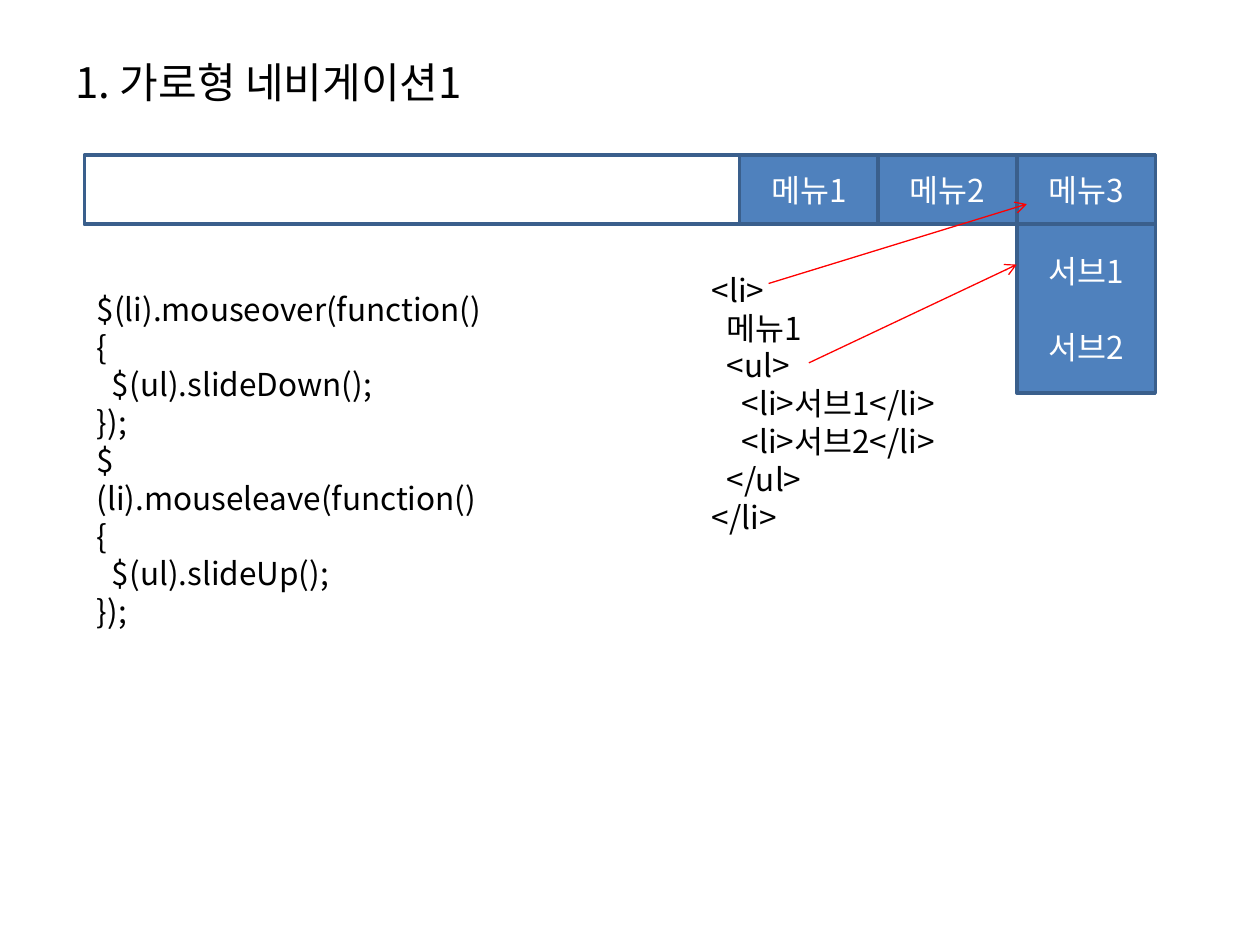
from pptx import Presentation
from pptx.dml.color import RGBColor
from pptx.enum import shapes, text
from pptx.oxml import ns
from pptx.util import Inches, Pt
from lxml import etree

FONT = "Noto Sans CJK KR"
BLACK = RGBColor(0, 0, 0)
WHITE = RGBColor(255, 255, 255)
BLUE = RGBColor(0x4F, 0x81, 0xBD)
EDGE = RGBColor(0x3A, 0x5F, 0x8C)
RED = RGBColor(255, 0, 0)

LEFT, TOP, WIDTH, HIGH = 0.67, 1.23, 8.5, 0.55
CELL = 1.1
STEP = 0.12  # one code indent

SCRIPT = [(0, "$(li).mouseover(function(){"), (1, "$(ul).slideDown();"), (0, "});"),
          (0, "$(li).mouseleave(function(){"), (1, "$(ul).slideUp();"), (0, "});")]
MARKUP = [(0, "<li>"), (1, "메뉴1"), (1, "<ul>"), (2, "<li>서브1</li>"),
          (2, "<li>서브2</li>"), (1, "</ul>"), (0, "</li>")]


def add_run(para, words, size=18, color=BLACK):
    run = para.add_run()
    run.text = words
    run.font.size = Pt(size)
    run.font.name = FONT
    run.font.color.rgb = color
    east = etree.SubElement(run.font._element, ns.qn("a:ea"))
    east.set("typeface", FONT)


def add_paras(frame, count):
    return [frame.paragraphs[0]] + [frame.add_paragraph() for _ in range(count - 1)]


def add_title(slide, words):
    title = slide.shapes.title
    title.left, title.top = Inches(0.5), Inches(0.3)
    title.width, title.height = Inches(9), Inches(0.69)
    title.text_frame.vertical_anchor = text.MSO_ANCHOR.MIDDLE
    para = title.text_frame.paragraphs[0]
    para.alignment = text.PP_ALIGN.LEFT
    add_run(para, words, 24)


def add_box(slide, left, top, width, height, lines=(), fill=None):
    box = slide.shapes.add_shape(shapes.MSO_SHAPE.RECTANGLE, Inches(left), Inches(top),
                                 Inches(width), Inches(height))
    box.shadow.inherit = False
    box.line.color.rgb = EDGE
    box.line.width = Pt(2)
    if fill is None:
        box.fill.background()
    else:
        box.fill.solid()
        box.fill.fore_color.rgb = fill
    frame = box.text_frame
    frame.vertical_anchor = text.MSO_ANCHOR.MIDDLE
    for i, (para, words) in enumerate(zip(add_paras(frame, len(lines)), lines)):
        para.alignment = text.PP_ALIGN.CENTER
        if i:
            para.space_before = Pt(21.7)
        add_run(para, words, color=WHITE)


def add_code(slide, left, top, width, height, lines):
    box = slide.shapes.add_textbox(Inches(left), Inches(top), Inches(width), Inches(height))
    frame = box.text_frame
    frame.word_wrap = True
    for para, (depth, words) in zip(add_paras(frame, len(lines)), lines):
        para._p.get_or_add_pPr().set("marL", str(Inches(depth * STEP)))
        add_run(para, words)


def add_arrow(slide, start, end):
    line = slide.shapes.add_connector(shapes.MSO_CONNECTOR.STRAIGHT,
                                      *map(Inches, start + end))
    line.line.color.rgb = RED
    line.line.width = Pt(0.75)
    props = line._element.spPr
    tail = etree.SubElement(props.find(ns.qn("a:ln")), ns.qn("a:tailEnd"))
    tail.set("type", "arrow")
    etree.SubElement(props, ns.qn("a:effectLst"))


def main():
    deck = Presentation()
    deck.slide_width, deck.slide_height = Inches(10), Inches(7.5)
    slide = deck.slides.add_slide(deck.slide_layouts[5])
    add_title(slide, "1. 가로형 네비게이션1")

    # Menu bar with its cells at the right end
    add_box(slide, LEFT, TOP, WIDTH, HIGH)
    right = LEFT + WIDTH
    for i in range(3):
        add_box(slide, right - (3 - i) * CELL, TOP, CELL, HIGH, [f"메뉴{i + 1}"], BLUE)
    add_box(slide, right - CELL, TOP + HIGH, CELL, 1.34, ["서브1", "서브2"], BLUE)

    # Code and arrows to the menu
    add_code(slide, 5.55, 2.1, 2.52, 2.22, MARKUP)
    add_arrow(slide, (6.1, 2.25), (8.15, 1.62))
    add_arrow(slide, (6.42, 2.88), (8.07, 2.1))
    add_code(slide, LEFT, 2.25, 3.26, 1.92, SCRIPT)
    deck.save("out.pptx")


main()
